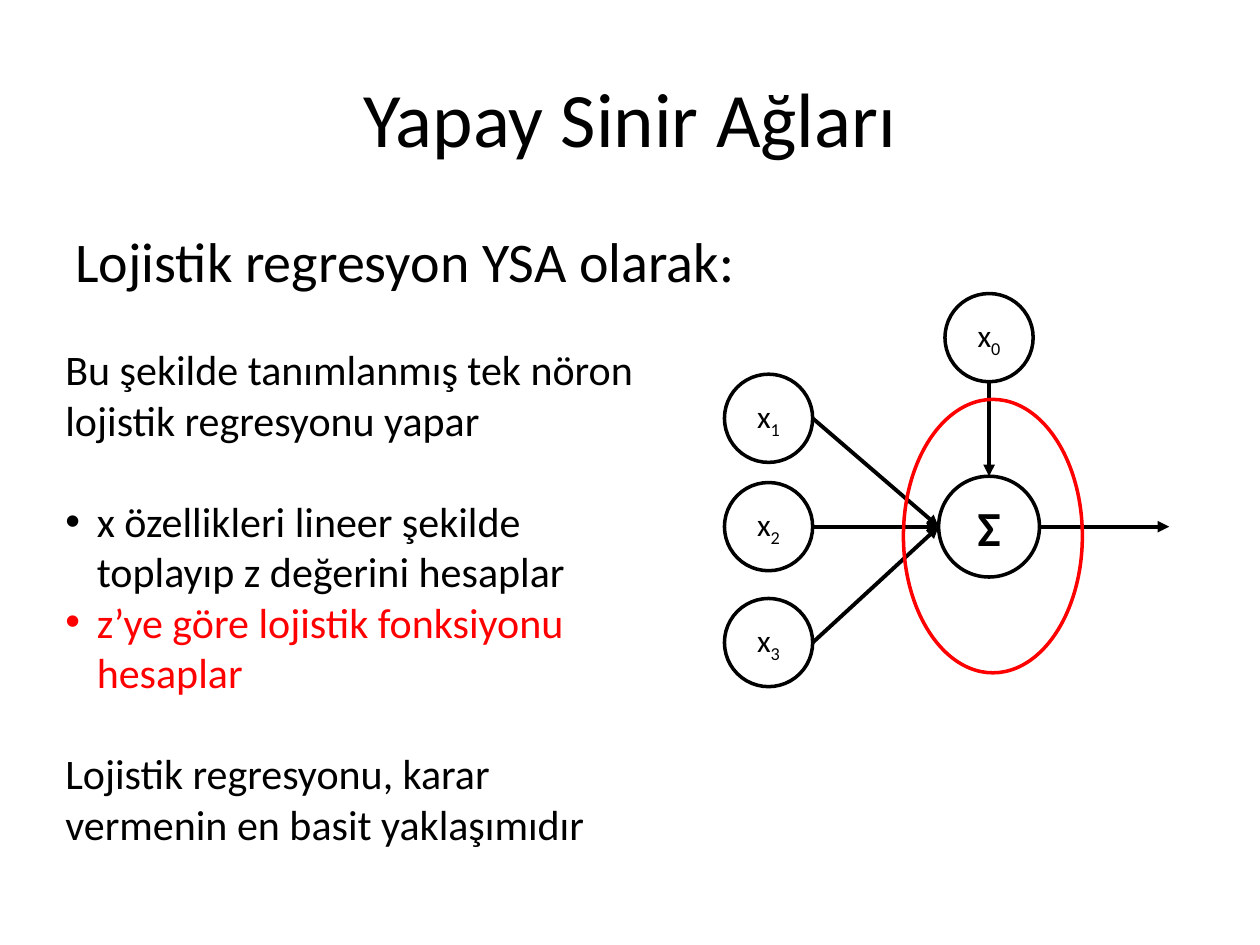
from lxml.etree import SubElement
from pptx import Presentation
from pptx.dml.color import RGBColor
from pptx.enum.shapes import MSO_CONNECTOR, MSO_SHAPE
from pptx.enum.text import MSO_ANCHOR, PP_ALIGN
from pptx.oxml.ns import qn
from pptx.util import Inches, Pt

BLACK, WHITE, RED = "000000", "FFFFFF", "FF0000"


def rgb(value):
    return RGBColor.from_string(value)


class SlideBuilder:
    font_name = "Calibri"
    outline = 2
    arrow_width = 2.25

    def __init__(self, slide):
        self.slide = slide

    def styled_run(self, paragraph, text, size, color=BLACK, bold=False, baseline=None):
        run = paragraph.add_run()
        run.text = text
        style = {"name": self.font_name, "size": Pt(size), "bold": bold}
        for attribute, value in style.items():
            setattr(run.font, attribute, value)
        run.font.color.rgb = rgb(color)
        if baseline:
            run.font._element.set("baseline", str(baseline))

    def bullet(self, paragraph, indent=0.25):
        properties = paragraph._p.get_or_add_pPr()
        properties.set("marL", str(Inches(indent)))
        properties.set("indent", str(-Inches(indent)))
        SubElement(properties, qn("a:buFont"), typeface="Arial")
        SubElement(properties, qn("a:buChar"), char="•")

    def text(self, box, paragraphs, size, align=PP_ALIGN.LEFT, anchor=MSO_ANCHOR.TOP):
        frame = self.slide.shapes.add_textbox(*map(Inches, box)).text_frame
        frame.word_wrap = True
        frame.vertical_anchor = anchor
        for number, (wording, color, bulleted, gap) in enumerate(paragraphs):
            paragraph = frame.add_paragraph() if number else frame.paragraphs[0]
            if gap:
                paragraph.space_before = Pt(gap)
            if bulleted:
                self.bullet(paragraph)
            paragraph.alignment = align
            self.styled_run(paragraph, wording, size, color)

    def ellipse(self, box, line=BLACK, fill=None):
        shape = self.slide.shapes.add_shape(MSO_SHAPE.OVAL, *map(Inches, box))
        shape.shadow.inherit = False
        if fill:
            shape.fill.solid()
            shape.fill.fore_color.rgb = rgb(fill)
        else:
            shape.fill.background()
        shape.line.color.rgb = rgb(line)
        shape.line.width = Pt(self.outline)
        return shape

    def neuron(self, center, diameter, label, size, subscript=None, bold=False):
        x, y = center
        corner = (x - diameter / 2, y - diameter / 2)
        frame = self.ellipse((*corner, diameter, diameter), fill=WHITE).text_frame
        layout = {"margin_left": 0, "margin_right": 0, "margin_top": 0,
                  "margin_bottom": 0, "vertical_anchor": MSO_ANCHOR.MIDDLE}
        for attribute, value in layout.items():
            setattr(frame, attribute, value)
        paragraph = frame.paragraphs[0]
        paragraph.alignment = PP_ALIGN.CENTER
        self.styled_run(paragraph, label, size, bold=bold)
        if subscript:
            self.styled_run(paragraph, subscript, size, baseline=-25000)

    def arrow(self, start, end):
        connector = self.slide.shapes.add_connector(
            MSO_CONNECTOR.STRAIGHT, *map(Inches, (*start, *end)))
        connector.line.color.rgb = rgb(BLACK)
        connector.line.width = Pt(self.arrow_width)
        line = connector._element.spPr.find(qn("a:ln"))
        SubElement(line, qn("a:tailEnd"), type="triangle")
        SubElement(connector._element.spPr, qn("a:effectLst"))


def main():
    presentation = Presentation()
    presentation.slide_width, presentation.slide_height = Inches(10), Inches(7.5)
    builder = SlideBuilder(presentation.slides.add_slide(presentation.slide_layouts[6]))

    # Title and subtitle
    builder.text((0.5, 0.3, 9, 1.25), [("Yapay Sinir Ağları", BLACK, False, 0)],
                 44, PP_ALIGN.CENTER, MSO_ANCHOR.MIDDLE)
    builder.text((0.5, 1.75, 9, 0.7),
                 [("Lojistik regresyon YSA olarak:", BLACK, False, 0)], 32)

    # Neuron with its inputs, bias and output
    sum_x, sum_y, sum_size, input_size = 7.85, 4.18, 0.8, 0.7
    input_x, bias_y = 6.1, 2.68
    sum_left = (sum_x - sum_size / 2, sum_y)
    builder.neuron((sum_x, sum_y), sum_size, "Σ", 28, bold=True)
    builder.arrow((sum_x, bias_y + input_size / 2), (sum_x, sum_y - sum_size / 2))
    for subscript, input_y in (("1", 3.32), ("2", sum_y), ("3", 5.1)):
        builder.arrow((input_x + input_size / 2, input_y), sum_left)
        builder.neuron((input_x, input_y), input_size, "x", 18, subscript)
    builder.neuron((sum_x, bias_y), input_size, "x", 18, "0")
    builder.arrow((sum_x + sum_size / 2, sum_y), (9.28, sum_y))

    # Explanation
    line_gap = 29
    builder.text((0.42, 2.68, 4.92, 4.14), [
        ("Bu şekilde tanımlanmış tek nöron lojistik regresyonu yapar", BLACK, False, 0),
        ("x özellikleri lineer şekilde toplayıp z değerini hesaplar", BLACK, True, line_gap),
        ("z’ye göre lojistik fonksiyonu hesaplar", RED, True, 0),
        ("Lojistik regresyonu, karar vermenin en basit yaklaşımıdır", BLACK, False, line_gap),
    ], 24)

    # Highlight around the neuron
    builder.ellipse((7.17, 3.17, 1.42, 2.17), line=RED)

    presentation.save("out.pptx")


if __name__ == "__main__":
    main()
